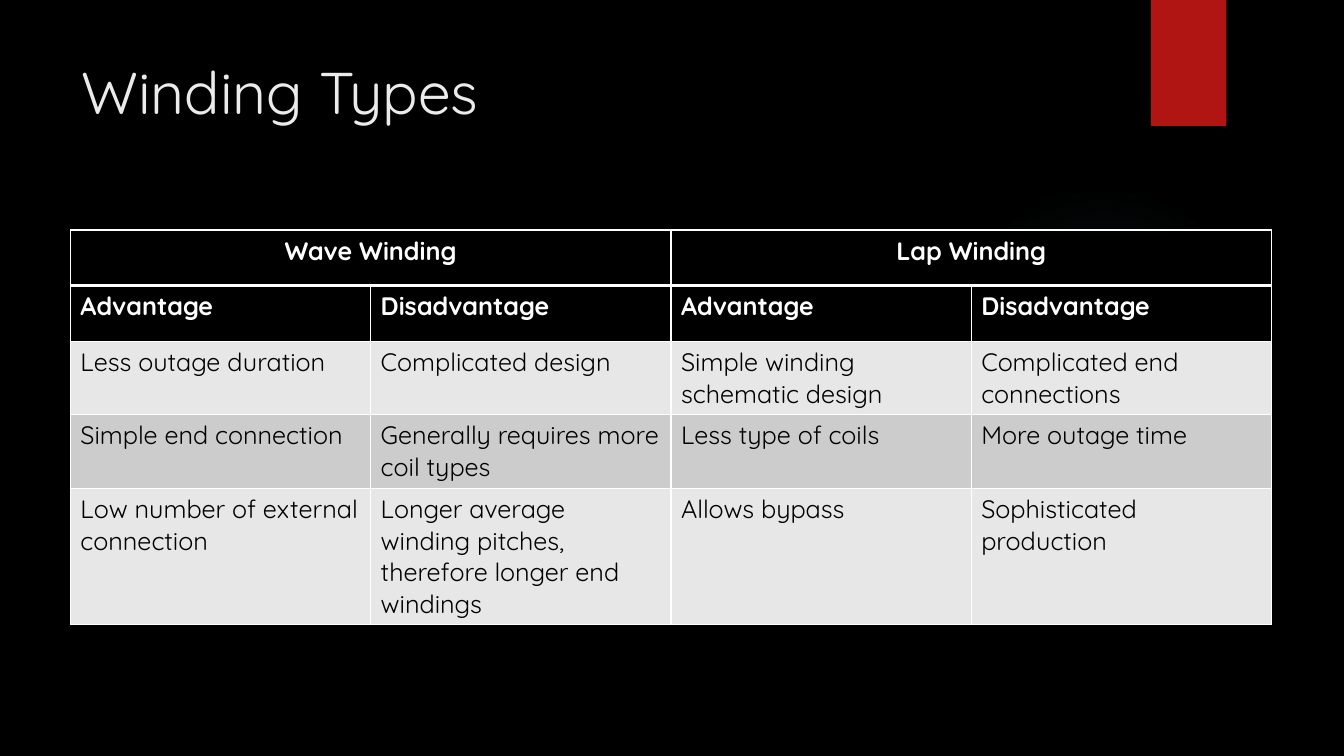
from dataclasses import dataclass

from lxml import etree
from pptx import Presentation
from pptx import util as u
from pptx.dml.color import RGBColor
from pptx.enum import shapes, text
from pptx.oxml import ns

PX = 9525
FONT = "Quicksand"
COLORS = {
    "black": "000000",
    "white": "FFFFFF",
    "title": "EBEBEB",
    "ribbon": "B01513",
    "glow": "50B9C1",
    "light": "E7E7E7",
    "dark": "CCCCCC",
}
GLOW_STOPS = ((0, 7), (36, 6), (69, 0))
COLUMN_WIDTH = 286


@dataclass
class Box:
    left: int
    top: int
    width: int
    height: int

    def emu(self) -> list[int]:
        return [v * PX for v in (self.left, self.top, self.width, self.height)]


@dataclass
class Row:
    texts: tuple[str, ...]
    height: int
    fill: str
    header: bool = False


GLOW = Box(903, 176, 296, 296)
RIBBON = Box(1096, 0, 72, 120)
TITLE = Box(68, 48, 988, 147)
TABLE = Box(67, 219, 4 * COLUMN_WIDTH, 376)
ROWS = [
    Row(("Wave Winding", "", "Lap Winding", ""), 53, "black", True),
    Row(("Advantage", "Disadvantage") * 2, 53, "black", True),
    Row(("Less outage duration", "Complicated design",
         "Simple winding schematic design", "Complicated end connections"),
        70, "light"),
    Row(("Simple end connection", "Generally requires more coil types",
         "Less type of coils", "More outage time"), 70, "dark"),
    Row(("Low number of external connection",
         "Longer average winding pitches, therefore longer end windings",
         "Allows bypass", "Sophisticated production"), 130, "light"),
]


def rgb(name: str) -> RGBColor:
    return RGBColor.from_string(COLORS[name])


def add_child(parent, tag: str, **attrs):
    return etree.SubElement(parent, ns.qn(tag), attrs)


def style_font(font, size: int, color: str, bold: bool = False) -> None:
    font.name = FONT
    font.size = u.Pt(size)
    font.bold = bold
    font.color.rgb = rgb(color)


def add_block(s, kind, box: Box, color: str):
    sp = s.shapes.add_shape(kind, *box.emu())
    sp.shadow.inherit = False
    sp.fill.solid()
    sp.fill.fore_color.rgb = rgb(color)
    sp.line.fill.background()
    return sp


def add_glow(s) -> None:
    sp = add_block(s, shapes.MSO_SHAPE.OVAL, GLOW, "glow")
    solid = sp._element.spPr.find(ns.qn("a:solidFill"))
    grad = etree.Element(ns.qn("a:gradFill"), rotWithShape="1")
    stops = add_child(grad, "a:gsLst")
    for pos, alpha in GLOW_STOPS:
        stop = add_child(stops, "a:gs", pos=str(pos * 1000))
        color = add_child(stop, "a:srgbClr", val=COLORS["glow"])
        add_child(color, "a:alpha", val=str(alpha * 1000))
    radial = add_child(grad, "a:path", path="circle")
    add_child(radial, "a:fillToRect", **dict.fromkeys("ltrb", "50000"))
    solid.getparent().replace(solid, grad)


def set_borders(cell, top: int, bottom: int) -> None:
    tc_pr = cell._tc.get_or_add_tcPr()
    for i, (side, width) in enumerate(zip("LRTB", (1, 1, top, bottom))):
        ln = etree.Element(ns.qn(f"a:ln{side}"), w=str(u.Pt(width)))
        fill = add_child(ln, "a:solidFill")
        add_child(fill, "a:srgbClr", val=COLORS["white"])
        tc_pr.insert(i, ln)


def add_title(s) -> None:
    sp = s.shapes.title
    sp.left, sp.top, sp.width, sp.height = TITLE.emu()
    tf = sp.text_frame
    tf.text = "Winding Types"
    tf.word_wrap = True
    tf.vertical_anchor = text.MSO_ANCHOR.TOP
    p = tf.paragraphs[0]
    p.alignment = text.PP_ALIGN.LEFT
    p.line_spacing = 1.0
    style_font(p.runs[0].font, 42, "title")


def add_winding_table(s) -> None:
    table = s.shapes.add_table(len(ROWS), 4, *TABLE.emu()).table
    for column in table.columns:
        column.width = COLUMN_WIDTH * PX
    for y, row in enumerate(ROWS):
        table.rows[y].height = row.height * PX
        for x, label in enumerate(row.texts):
            cell = table.cell(y, x)
            cell.text = label
            cell.fill.solid()
            cell.fill.fore_color.rgb = rgb(row.fill)
            set_borders(cell, 3 if y == 1 else 1, 3 if y == 0 else 1)
            p = cell.text_frame.paragraphs[0]
            p.alignment = text.PP_ALIGN.CENTER if y == 0 else text.PP_ALIGN.LEFT
            style_font(p.font, 18, "white" if row.header else "black", row.header)
            for r in p.runs:
                style_font(r.font, 18, "white" if row.header else "black", row.header)
    for x in (0, 2):
        table.cell(0, x).merge(table.cell(0, x + 1))


def main() -> None:
    prs = Presentation()
    prs.slide_width, prs.slide_height = 1280 * PX, 720 * PX
    s = prs.slides.add_slide(prs.slide_layouts[5])
    s.background.fill.solid()
    s.background.fill.fore_color.rgb = rgb("black")
    add_glow(s)
    add_block(s, shapes.MSO_SHAPE.RECTANGLE, RIBBON, "ribbon")
    add_title(s)
    add_winding_table(s)
    prs.save("out.pptx")


if __name__ == "__main__":
    main()
